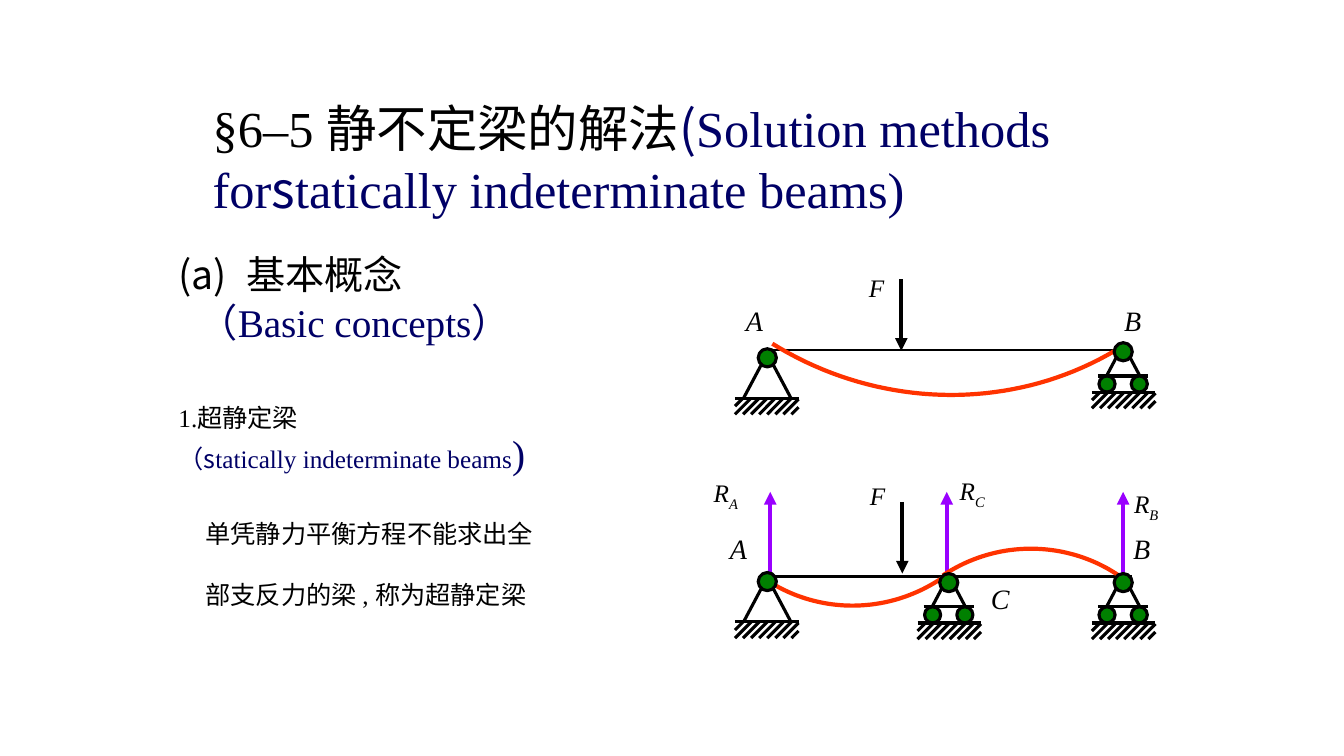
"""Build a slide on solution methods for statically indeterminate beams."""
from lxml import etree
from pptx import Presentation
from pptx.dml.color import RGBColor
from pptx.enum.shapes import MSO_CONNECTOR, MSO_SHAPE
from pptx.enum.text import MSO_ANCHOR, MSO_AUTO_SIZE, PP_ALIGN
from pptx.oxml.ns import qn
from pptx.util import Inches, Pt

STRAIGHT, OVAL = MSO_CONNECTOR.STRAIGHT, MSO_SHAPE.OVAL
TOP, NO_FIT, LEFT = MSO_ANCHOR.TOP, MSO_AUTO_SIZE.NONE, PP_ALIGN.LEFT
COLORS = {"ink": "000000", "navy": "000066", "curve": "FF3300",
          "joint": "008000", "reaction": "9900FF"}
SERIF, SANS = "Times New Roman", "Noto Sans CJK SC"

TITLE = [
    [("§6–5 ", SERIF, "ink", 36), ("静不定梁的解法", SANS, "ink", 36),
     ("(", SANS, "navy", 36), ("Solution methods", SERIF, "navy", 36)],
    [("for", SERIF, "navy", 36), ("s", SANS, "navy", 36),
     ("tatically indeterminate beams)", SERIF, "navy", 36)],
]
CONCEPTS = [
    [("基本概念", SERIF, "ink", 28)],
    [("（Basic concepts）", SERIF, "navy", 28)],
]
TERM = [
    [("1.超静定梁", SERIF, "ink", 18)],
    [("（", SERIF, "navy", 18), ("s", SANS, "navy", 18),
     ("tatically indeterminate beams", SERIF, "navy", 18), (")", SERIF, "navy", 28)],
]
DEFINITION = [
    [("单凭静力平衡方程不能求出全", SERIF, "ink", 18)],
    [("部支反力的梁 , 称为超静定梁", SERIF, "ink", 18)],
]
LABELS = [
    ("F", "", 18, 8.52, 2.65), ("A", "", 20, 7.3, 2.96), ("B", "", 20, 11.05, 2.96),
    ("F", "", 18, 8.53, 4.72), ("A", "", 20, 7.14, 5.22), ("B", "", 20, 11.14, 5.22),
    ("C", "", 20, 9.73, 5.72), ("R", "A", 18, 6.98, 4.69), ("R", "B", 18, 11.15, 4.8),
    ("R", "C", 18, 9.42, 4.67),
]
BEAMS = [(7.64, 11.22, 3.47), (7.64, 11.23, 5.72)]
LOADS = [(8.94, 2.77, 3.48), (8.95, 4.98, 5.69)]
REACTIONS = [7.64, 9.39, 11.14]
DEFLECTIONS = [
    ((11.14, 3.43), (10.1, 4.09), (8.74, 4.08), (7.66, 3.41)),
    ((9.35, 5.73), (8.84, 6.08), (8.18, 6.1), (7.66, 5.79)),
    ((9.35, 5.71), (9.9, 5.34), (10.62, 5.36), (11.14, 5.74)),
]
PINS = [(7.61, 3.55), (7.61, 5.77)]
ROLLERS = [(11.14, 3.49), (11.14, 5.78), (9.41, 5.78)]
GROUND_W, HATCH_H, HATCH_STEP = 0.63, 0.16, 0.08


def color(name):
    return RGBColor.from_string(COLORS[name])


def add_run(p, text, font, tint, size, italic=False):
    r = p.add_run()
    r.text = text
    for key, value in {"name": font, "size": Pt(size), "italic": italic,
                       "bold": False}.items():
        setattr(r.font, key, value)
    r.font.color.rgb = color(tint)
    etree.SubElement(r.font._element, qn("a:ea"), typeface=SANS)
    return r


def fill_text(shape, box, paragraphs, pitch):
    shape.left, shape.top, shape.width, shape.height = map(Inches, box)
    tf = shape.text_frame
    for key, value in {"word_wrap": True, "auto_size": NO_FIT,
                       "vertical_anchor": TOP}.items():
        setattr(tf, key, value)
    for i, runs in enumerate(paragraphs):
        p = tf.paragraphs[0] if i == 0 else tf.add_paragraph()
        pPr = p._p.get_or_add_pPr()
        pPr.set("marL", "0")
        pPr.set("indent", "0")
        p.alignment, p.line_spacing = LEFT, Pt(pitch)
        p.space_before = p.space_after = Pt(0)
        etree.SubElement(pPr, qn("a:buNone"))
        for run in runs:
            add_run(p, *run)
    return tf


def letter_item(p, hang):
    pPr = p._p.get_or_add_pPr()
    pPr.remove(pPr.find(qn("a:buNone")))
    pPr.set("marL", str(Inches(hang)))
    pPr.set("indent", str(-Inches(hang)))
    etree.SubElement(pPr, qn("a:buFont"), typeface=SANS)
    etree.SubElement(pPr, qn("a:buAutoNum"), type="alphaLcParenBoth")


def add_line(s, x1, y1, x2, y2, width=2.25, tint="ink", arrow=False):
    c = s.shapes.add_connector(STRAIGHT, *map(Inches, (x1, y1, x2, y2)))
    c.line.color.rgb, c.line.width = color(tint), Pt(width)
    if arrow:
        etree.SubElement(c.line._get_or_add_ln(), qn("a:tailEnd"), type="triangle")
    etree.SubElement(c._element.spPr, qn("a:effectLst"))


def add_joint(s, x, y, d):
    o = s.shapes.add_shape(OVAL, *map(Inches, (x - d / 2, y - d / 2, d, d)))
    o.shadow.inherit = False
    o.fill.solid()
    o.fill.fore_color.rgb = color("joint")
    o.line.color.rgb, o.line.width = color("ink"), Pt(2.25)


def add_curve(s, points, steps=40):
    def at(t):
        weights = ((1 - t) ** 3, 3 * t * (1 - t) ** 2, 3 * t * t * (1 - t), t ** 3)
        return tuple(Inches(sum(w * pt[k] for w, pt in zip(weights, points)))
                     for k in (0, 1))
    fb = s.shapes.build_freeform(*at(0))
    fb.add_line_segments([at(i / steps) for i in range(1, steps + 1)], close=False)
    curve = fb.convert_to_shape()
    curve.shadow.inherit = False
    curve.fill.background()
    curve.line.color.rgb, curve.line.width = color("curve"), Pt(3)


def add_ground(s, x, y):
    add_line(s, x, y, x + GROUND_W, y)
    for i in range(1, 10):
        reach = i * HATCH_STEP
        right, left = min(reach, GROUND_W), max(reach - HATCH_H, 0)
        add_line(s, x + right, y + reach - right, x + left, y + reach - left)


def add_pin(s, x, y):
    for side in (-1, 1):
        add_line(s, x + side * 0.06, y + 0.07, x + side * 0.235, y + 0.4)
    add_ground(s, x - 0.32, y + 0.4)
    add_joint(s, x, y, 0.18)


def add_roller(s, x, y):
    for side in (-1, 1):
        add_line(s, x + side * 0.07, y + 0.06, x + side * 0.16, y + 0.23)
    add_line(s, x - 0.25, y + 0.24, x + 0.25, y + 0.24)
    add_ground(s, x - 0.31, y + 0.4)
    for side in (-1, 1):
        add_joint(s, x + side * 0.16, y + 0.32, 0.16)
    add_joint(s, x, y, 0.18)


def main():
    prs = Presentation()
    prs.slide_width, prs.slide_height = Inches(13.33), Inches(7.5)
    s = prs.slides.add_slide(prs.slide_layouts[3])
    title, concepts, term = s.placeholders
    fill_text(title, (2.01, 0.92, 9.4, 1.31), TITLE, 43)
    tf = fill_text(concepts, (1.67, 2.43, 4.2, 1.03), CONCEPTS, 34)
    letter_item(tf.paragraphs[0], 0.67)
    tf.paragraphs[1]._p.get_or_add_pPr().set("marL", str(Inches(0.2)))
    fill_text(term, (1.67, 3.8, 5.24, 1.18), TERM, 31.5)
    definition = s.shapes.add_textbox(0, 0, 0, 0)
    fill_text(definition, (1.94, 4.8, 5.43, 1.4), DEFINITION, 43)

    for x1, x2, y in BEAMS:
        add_line(s, x1, y, x2, y, 1.5)
    for x, y1, y2 in LOADS:
        add_line(s, x, y1, x, y2, 3, arrow=True)
    for x in REACTIONS:
        add_line(s, x, 5.72, x, 4.88, 3, "reaction", True)
    for points in DEFLECTIONS:
        add_curve(s, points)
    for x, y in PINS:
        add_pin(s, x, y)
    for x, y in ROLLERS:
        add_roller(s, x, y)
    for text, sub, size, x, y in LABELS:
        tf = s.shapes.add_textbox(*map(Inches, (x, y, 0.7, 0.43))).text_frame
        tf.word_wrap = True
        p = tf.paragraphs[0]
        add_run(p, text, SERIF, "ink", size, True)
        if sub:
            r = add_run(p, sub, SERIF, "ink", size, True)
            r.font._element.set("baseline", "-25000")
    prs.save("out.pptx")


if __name__ == "__main__":
    main()
